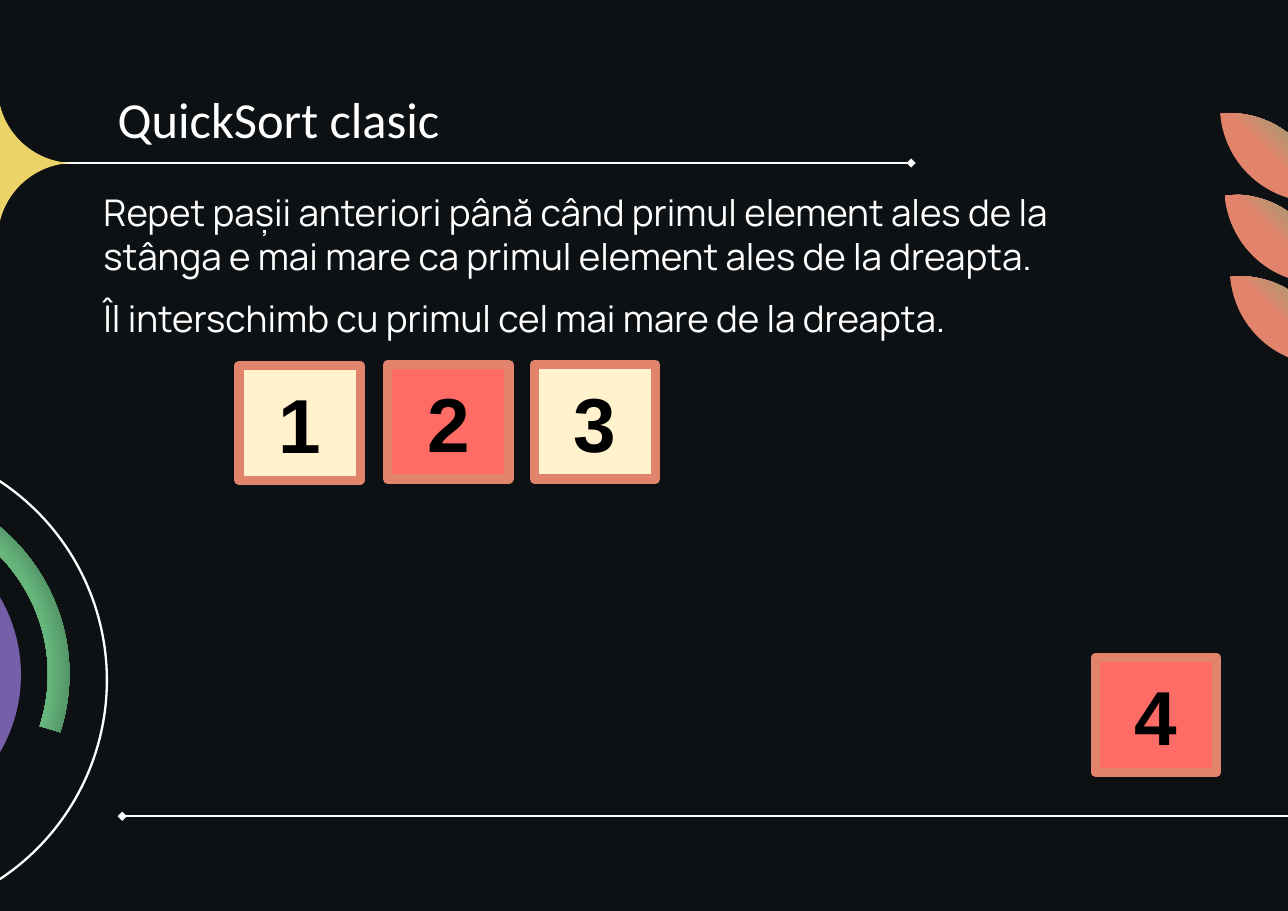
from lxml import etree
from pptx import Presentation
from pptx.dml.color import RGBColor
from pptx.enum import shapes, text
from pptx.oxml import parse_xml
from pptx.oxml.ns import nsdecls, qn
from pptx.util import Inches, Pt

# Content
TITLE = "QuickSort clasic"
STEPS = [
    "Repet pașii anteriori până când primul element ales de la stânga "
    "e mai mare ca primul element ales de la dreapta.",
    "Îl interschimb cu primul cel mai mare de la dreapta.",
]
# number, left, top, is it being swapped
NUMBERS = [
    ("1", 2.17, 3.32, False),
    ("2", 3.52, 3.31, True),
    ("3", 4.85, 3.31, False),
    ("4", 9.94, 5.97, True),
]

# Theme
THEME = {
    "background": "0D1114", "white": "FFFFFF", "yellow": "ECD367",
    "purple": "765FA8", "coral": "E2846B", "cream": "FFF2CC", "red": "FF6B65",
    "rule": 1.5, "frame": 6,
    "title": {"name": "Calibri", "size": Pt(33), "bold": False},
    "step": {"name": "Manrope", "size": Pt(24), "bold": False},
    "number": {"name": "Arial", "size": Pt(50), "bold": True},
    "ring": [(0, "E2846B"), (36, "ECD367"), (65, "65B57C"), (100, "0D1114")],
    "leaf": [(0, "65B57C"), (50, "E2846B"), (100, "E2846B")],
}

# Outlines: a start point, then curves of two handles and an end
STAR = [(-0.02, 0.79),
        ((-0.02, 1.17), (0.29, 1.48), (0.67, 1.48)),
        ((0.29, 1.48), (-0.02, 1.79), (-0.02, 2.17)),
        ((-0.03, 1.79), (-0.33, 1.48), (-0.7, 1.48)),
        ((-0.33, 1.47), (-0.02, 1.17), (-0.02, 0.79))]
LEAF = [(0.88, 0),
        ((0.39, 0), (0, 0.39), (0, 0.88)),
        ((0.49, 0.88), (0.88, 0.49), (0.88, 0))]
LEAF_TURN = 265.1
LEAF_CORNERS = [(11.11, 0.99), (11.15, 1.73), (11.2, 2.47)]


def rgb(name):
    return RGBColor.from_string(THEME[name])


def box(left, top, width, height):
    return [Inches(v) for v in (left, top, width, height)]


def paint(shape, fill=None, line=None, width=THEME["rule"]):
    shape.shadow.inherit = False
    if fill:
        shape.fill.solid()
        shape.fill.fore_color.rgb = rgb(fill)
    else:
        shape.fill.background()
    if line:
        shape.line.color.rgb = rgb(line)
        shape.line.width = Pt(width)
    else:
        shape.line.fill.background()


def paint_radial(shape, stops, focus):
    paint(shape)
    marks = "".join(f'<a:gs pos="{pos * 1000}"><a:srgbClr val="{color}"/></a:gs>'
                    for pos, color in stops)
    sides = " ".join(f'{side}="{share * 1000}"' for side, share in zip("ltrb", focus))
    gradient = parse_xml(
        f'<a:gradFill {nsdecls("a")} rotWithShape="1"><a:gsLst>{marks}</a:gsLst>'
        f'<a:path path="circle"><a:fillToRect {sides}/></a:path></a:gradFill>')
    properties = shape._element.spPr
    properties.replace(properties.find(qn("a:noFill")), gradient)


def add_outline(slide, outline, left=0, top=0):
    def place(point):
        return Inches(point[0] + left), Inches(point[1] + top)

    start, curves = outline[0], outline[1:]
    builder = slide.shapes.build_freeform(*place(start))
    builder.add_line_segments([place(curve[-1]) for curve in curves], close=True)
    shape = builder.convert_to_shape()

    # Bend the straight segments into curves
    track = shape._element.spPr.find(".//" + qn("a:path"))
    for segment in list(track):
        track.remove(segment)
    for tag, points in [("moveTo", [start])] + [("cubicBezTo", c) for c in curves]:
        segment = etree.SubElement(track, qn(f"a:{tag}"))
        for x, y in map(place, points):
            etree.SubElement(segment, qn("a:pt"), x=str(x - shape.left), y=str(y - shape.top))
    etree.SubElement(track, qn("a:close"))
    return shape


def add_rule(slide, start, end, y):
    rule = slide.shapes.add_connector(
        shapes.MSO_CONNECTOR.STRAIGHT, Inches(start), Inches(y), Inches(end), Inches(y))
    rule.line.color.rgb = rgb("white")
    rule.line.width = Pt(THEME["rule"])
    etree.SubElement(rule.line._get_or_add_ln(), qn("a:tailEnd"), type="diamond")
    etree.SubElement(rule._element.spPr, qn("a:effectLst"))


def write(shape, lines, style, color, align=text.PP_ALIGN.LEFT,
          anchor=text.MSO_ANCHOR.TOP, gap=0):
    frame = shape.text_frame
    frame.word_wrap = True
    frame.vertical_anchor = anchor
    for side in ("left", "top", "right", "bottom"):
        setattr(frame, f"margin_{side}", Inches(0.1))
    for index, line in enumerate(lines):
        paragraph = frame.add_paragraph() if index else frame.paragraphs[0]
        paragraph.alignment = align
        if index:
            paragraph.space_before = paragraph.space_after = Pt(gap)
        run = paragraph.add_run()
        run.text = line
        for name, value in THEME[style].items():
            setattr(run.font, name, value)
        run.font.color.rgb = color


def main():
    deck = Presentation()
    deck.slide_width, deck.slide_height = Inches(11.69), Inches(8.27)
    slide = deck.slides.add_slide(deck.slide_layouts[6])
    slide.background.fill.solid()
    slide.background.fill.fore_color.rgb = rgb("background")
    preset = shapes.MSO_SHAPE

    # Title rule and star
    add_rule(slide, 0.4, 8.27, 1.48)
    paint(add_outline(slide, STAR), fill="yellow")

    # Circles on the left edge
    orbit = slide.shapes.add_shape(preset.OVAL, *box(-3.36, 4.01, 4.33, 4.33))
    paint(orbit, line="white")
    core = slide.shapes.add_shape(preset.OVAL, *box(-2.6, 4.73, 2.79, 2.79))
    core.rotation = 180
    paint(core, fill="purple")
    ring = slide.shapes.add_shape(preset.BLOCK_ARC, *box(-3.03, 4.35, 3.66, 3.54))
    for index, value in enumerate((148.98, 10.09, 0.055)):
        ring.adjustments[index] = value
    paint_radial(ring, THEME["ring"], (50, 50, 50, 50))

    # Leaves on the right edge
    for corner in LEAF_CORNERS:
        leaf = add_outline(slide, LEAF, *corner)
        leaf.rotation = LEAF_TURN
        paint_radial(leaf, THEME["leaf"], (100, 0, 0, 100))

    # Bottom rule
    add_rule(slide, 11.69, 1.11, 7.41)

    # Title
    title = slide.shapes.add_textbox(*box(0.97, 0.7, 7.22, 0.51))
    write(title, [TITLE], "title", rgb("white"))

    # Numbers
    for number, left, top, swapped in NUMBERS:
        cell = slide.shapes.add_shape(preset.RECTANGLE, *box(left, top, 1.1, 1.04))
        paint(cell, "red" if swapped else "cream", "coral", THEME["frame"])
        write(cell, [number], "number", RGBColor(0, 0, 0),
              text.PP_ALIGN.CENTER, text.MSO_ANCHOR.MIDDLE)

    # Steps
    steps = slide.shapes.add_textbox(*box(0.84, 1.62, 9.86, 1.76))
    write(steps, STEPS, "step", rgb("white"), gap=12)

    deck.save("out.pptx")


if __name__ == "__main__":
    main()
